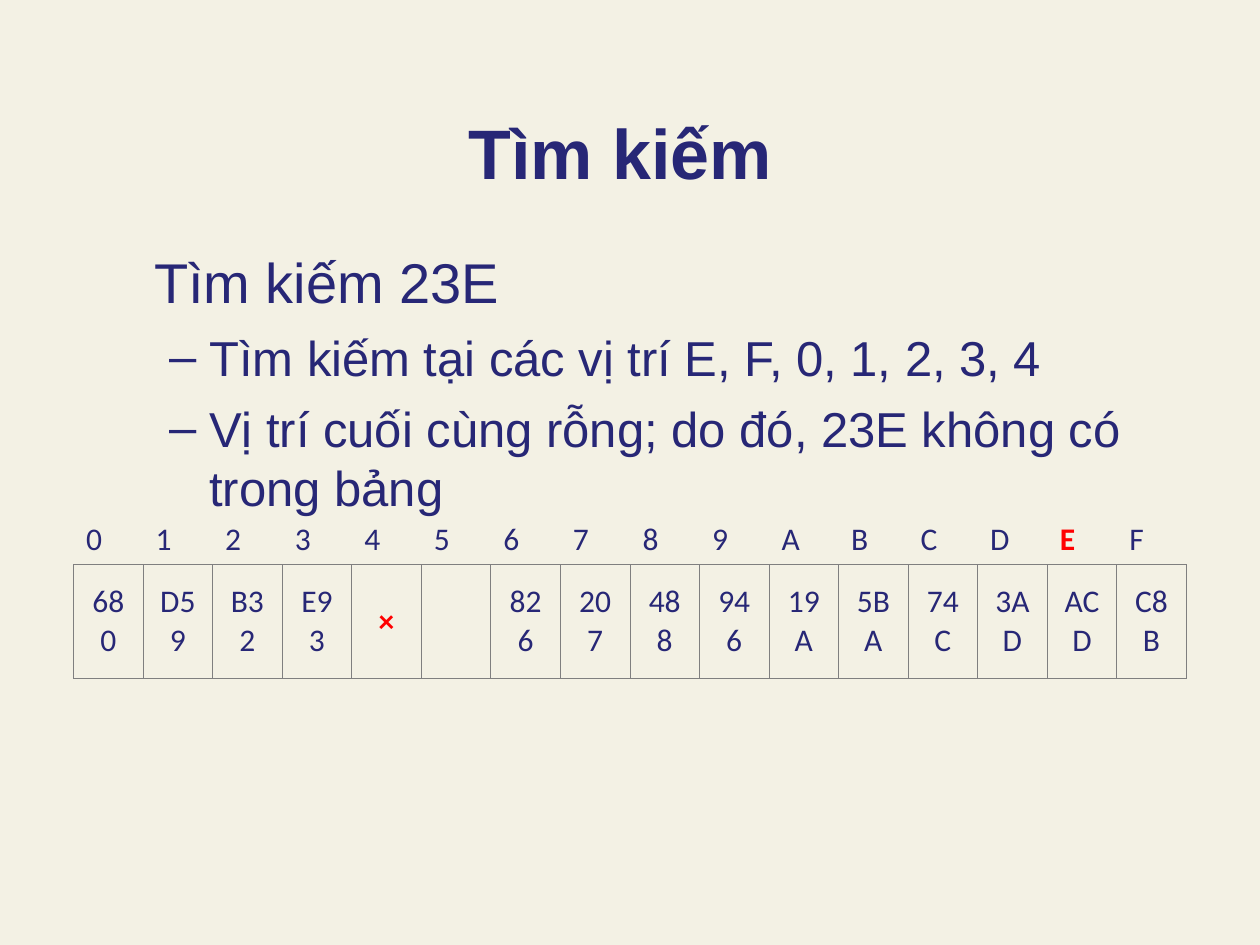
import lxml.etree
import pptx
import pptx.dml.color
import pptx.enum.text
import pptx.oxml.ns
import pptx.util

NAVY, RED, GRAY, CREAM = "272776", "FF0000", "7F7F7F", "F3F1E4"
ALIGN = pptx.enum.text.PP_ALIGN
ANCHOR = pptx.enum.text.MSO_ANCHOR
SLOTS = "0123456789ABCDEF"
KEYS = ["680", "D59", "B32", "E93", "×", "", "826", "207",
        "488", "946", "19A", "5BA", "74C", "3AD", "ACD", "C8B"]


def rgb(value):
    """Turn a hex string into a colour."""
    return pptx.dml.color.RGBColor.from_string(value)


def add_element(parent, tag, **attributes):
    """Append a DrawingML element to its parent."""
    return lxml.etree.SubElement(parent, pptx.oxml.ns.qn(tag), attributes)


def style_font(font, color=NAVY, **values):
    """Apply a colour and format values to a font."""
    font.color.rgb = rgb(color)
    for name, value in values.items():
        setattr(font, name, value)


def add_text_box(page, left, top, width, height, anchor):
    """Add a wrapping text box and return its frame."""
    frame = page.shapes.add_textbox(*map(pptx.util.Pt, (left, top, width, height))).text_frame
    frame.word_wrap = True
    frame.vertical_anchor = anchor
    return frame


def write_para(para, text, size, margin=0, hanging=0, before=0, bullet=None, bold=False):
    """Write one paragraph with its indents and optional bullet."""
    properties = para._p.get_or_add_pPr()
    properties.set("marL", str(pptx.util.Pt(margin)))
    properties.set("indent", str(-pptx.util.Pt(hanging)))
    para.space_before = pptx.util.Pt(before)
    if bullet:
        color = add_element(properties, "a:buClr")
        add_element(color, "a:srgbClr", val=NAVY)
        add_element(properties, "a:buFont", typeface="Arial")
        add_element(properties, "a:buChar", char=bullet)
    span = para.add_run()
    span.text = text
    style_font(span.font, name="Arial", size=pptx.util.Pt(size), bold=bold)


def set_borders(cell, sides):
    """Rule the listed sides of a cell and clear the others."""
    properties = cell._tc.get_or_add_tcPr()
    for side in "LRTB":
        line = add_element(properties, f"a:ln{side}", w=str(pptx.util.Pt(0.45)))
        if side in sides:
            fill = add_element(line, "a:solidFill")
            add_element(fill, "a:srgbClr", val=GRAY)
        else:
            add_element(line, "a:noFill")


def fill_cell(cell, text, align, sides, marked):
    """Write one table cell, in bold red when marked."""
    set_borders(cell, sides)
    cell.fill.background()
    cell.vertical_anchor = ANCHOR.MIDDLE
    para = cell.text_frame.paragraphs[0]
    para.alignment = align
    color = RED if marked else NAVY
    style_font(para.font, color, name="Calibri", size=pptx.util.Pt(18), bold=marked)
    if text:
        span = para.add_run()
        span.text = text
        style_font(span.font, color, name="Calibri", size=pptx.util.Pt(18), bold=marked)


def add_hash_table(page):
    """Add the slot labels above the row of stored keys."""
    bounds = map(pptx.util.Pt, (42, 293.75, 636, 90))
    table = page.shapes.add_table(2, len(SLOTS), *bounds).table
    table.first_row = table.horz_banding = False
    for column in table.columns:
        column.width = pptx.util.Pt(39.75)
    for row, height in zip(table.rows, (25.2, 64.8)):
        row.height = pptx.util.Pt(height)
    for index, (slot, key) in enumerate(zip(SLOTS, KEYS)):
        fill_cell(table.cell(0, index), slot, ALIGN.LEFT, "B", slot == "E")
        fill_cell(table.cell(1, index), key, ALIGN.CENTER, "LRTB", key == "×")


def main():
    """Build the slide and save it."""
    deck = pptx.Presentation()
    deck.slide_width, deck.slide_height = pptx.util.Pt(720), pptx.util.Pt(540)
    page = deck.slides.add_slide(deck.slide_layouts[6])
    page.background.fill.solid()
    page.background.fill.fore_color.rgb = rgb(CREAM)

    title = add_text_box(page, 54, 36, 612, 78, ANCHOR.BOTTOM).paragraphs[0]
    title.alignment = ALIGN.CENTER
    write_para(title, "Tìm kiếm ", 40, bold=True)

    body = add_text_box(page, 54, 138, 612, 336, ANCHOR.TOP)
    write_para(body.paragraphs[0], "Tìm kiếm 23E", 32, margin=27)
    for text in ("Tìm kiếm tại các vị trí E, F, 0, 1, 2, 3, 4",
                 "Vị trí cuối cùng rỗng; do đó, 23E không có trong bảng"):
        write_para(body.add_paragraph(), text, 28, margin=58.5, hanging=22.5, before=7, bullet="–")

    add_hash_table(page)
    deck.save("out.pptx")


if __name__ == "__main__":
    main()
